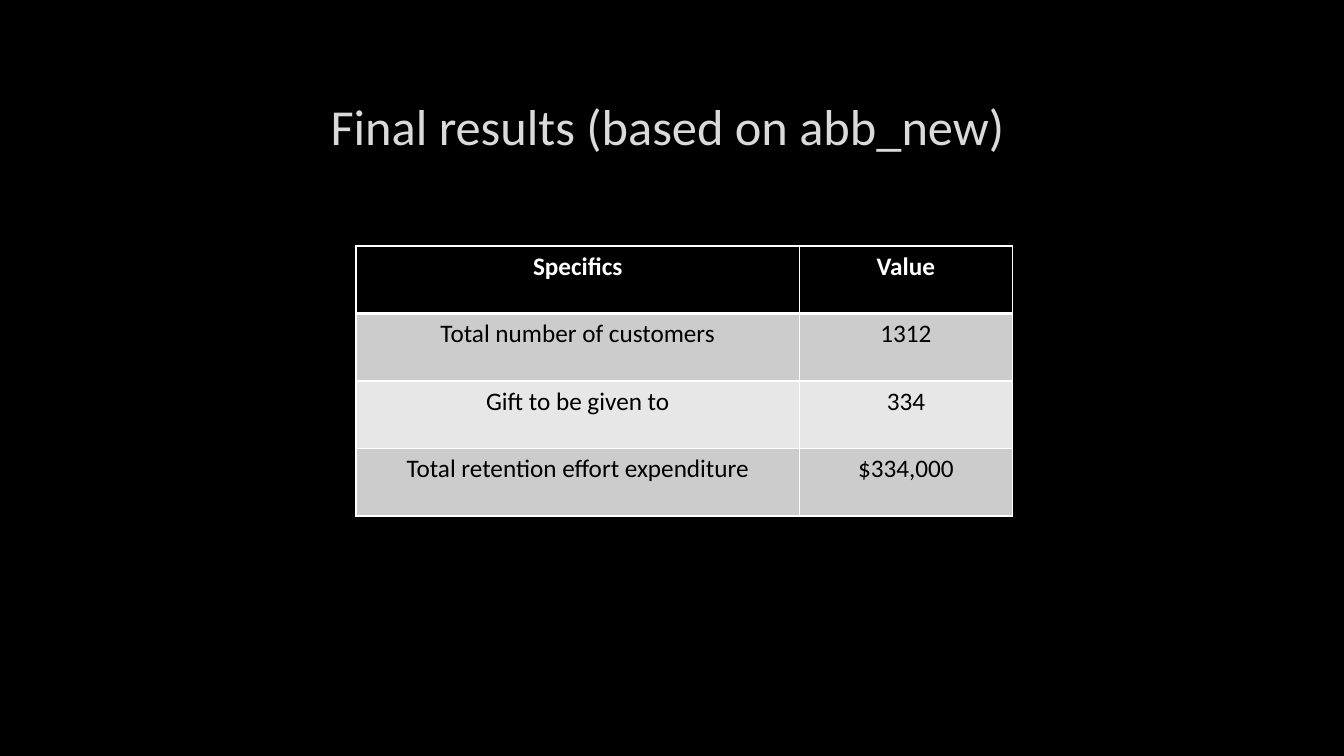
import pptx
import pptx.dml.color
import pptx.enum.text
import pptx.oxml
import pptx.oxml.ns
import pptx.util
from dataclasses import dataclass

Inches = pptx.util.Inches
Pt = pptx.util.Pt
ALIGN = pptx.enum.text.PP_ALIGN
ANCHOR = pptx.enum.text.MSO_ANCHOR


@dataclass(frozen=True)
class Theme:
    font: str = "Calibri"
    background: str = "000000"
    title: str = "DADADA"
    header_fill: str = "000000"
    header_text: str = "FFFFFF"
    body_text: str = "000000"
    bands: tuple = ("CCCCCC", "E7E7E7")
    border: str = "FFFFFF"
    title_size: int = 36
    table_size: int = 18


THEME = Theme()
RESULTS = [
    ("Specifics", "Value"),
    ("Total number of customers", "1312"),
    ("Gift to be given to", "334"),
    ("Total retention effort expenditure", "$334,000"),
]


def rgb(value):
    return pptx.dml.color.RGBColor.from_string(value)


def set_fill(fill, color):
    fill.solid()
    fill.fore_color.rgb = rgb(color)


def write(tf, text, size, color, bold=False, align=ALIGN.LEFT):
    p = tf.paragraphs[0]
    p.alignment = align
    r = p.add_run()
    r.text = text
    r.font.name = THEME.font
    r.font.size = Pt(size)
    r.font.bold = bold
    r.font.color.rgb = rgb(color)


def set_borders(cell, top=1, bottom=1):
    widths = {"lnL": 1, "lnR": 1, "lnT": top, "lnB": bottom}
    tc_pr = cell._tc.get_or_add_tcPr()
    for position, (side, width) in enumerate(widths.items()):
        ln = pptx.oxml.parse_xml(
            f'<a:{side} {pptx.oxml.ns.nsdecls("a")} w="{Pt(width)}">'
            f'<a:solidFill><a:srgbClr val="{THEME.border}"/></a:solidFill>'
            f'</a:{side}>'
        )
        tc_pr.insert(position, ln)


def add_title(s, text, left, top, width, height):
    sp = s.shapes.add_textbox(Inches(left), Inches(top), Inches(width), Inches(height))
    tf = sp.text_frame
    tf.word_wrap = True
    tf.vertical_anchor = ANCHOR.MIDDLE
    write(tf, text, THEME.title_size, THEME.title)


def add_results_table(s, rows, left, top, col_widths, row_height):
    table = s.shapes.add_table(
        len(rows), len(col_widths), Inches(left), Inches(top),
        Inches(sum(col_widths)), Inches(row_height * len(rows)),
    ).table
    table.horz_banding = False
    for column, width in zip(table.columns, col_widths):
        column.width = Inches(width)
    for i, values in enumerate(rows):
        table.rows[i].height = Inches(row_height)
        header = i == 0
        fill = THEME.header_fill if header else THEME.bands[(i - 1) % 2]
        color = THEME.header_text if header else THEME.body_text
        for j, value in enumerate(values):
            cell = table.cell(i, j)
            set_fill(cell.fill, fill)
            set_borders(cell, top=3 if i == 1 else 1, bottom=3 if header else 1)
            write(cell.text_frame, value, THEME.table_size, color,
                  bold=header, align=ALIGN.CENTER)


def main():
    prs = pptx.Presentation()
    prs.slide_width = Inches(13.33)
    prs.slide_height = Inches(7.5)
    s = prs.slides.add_slide(prs.slide_layouts[6])
    set_fill(s.background.fill, THEME.background)
    add_title(s, "Final results (based on abb_new)", 3.18, 0.71, 11.32, 1.06)
    add_results_table(s, RESULTS, 3.53, 2.44, (4.4, 2.11), 0.67)
    prs.save("out.pptx")


if __name__ == "__main__":
    main()
